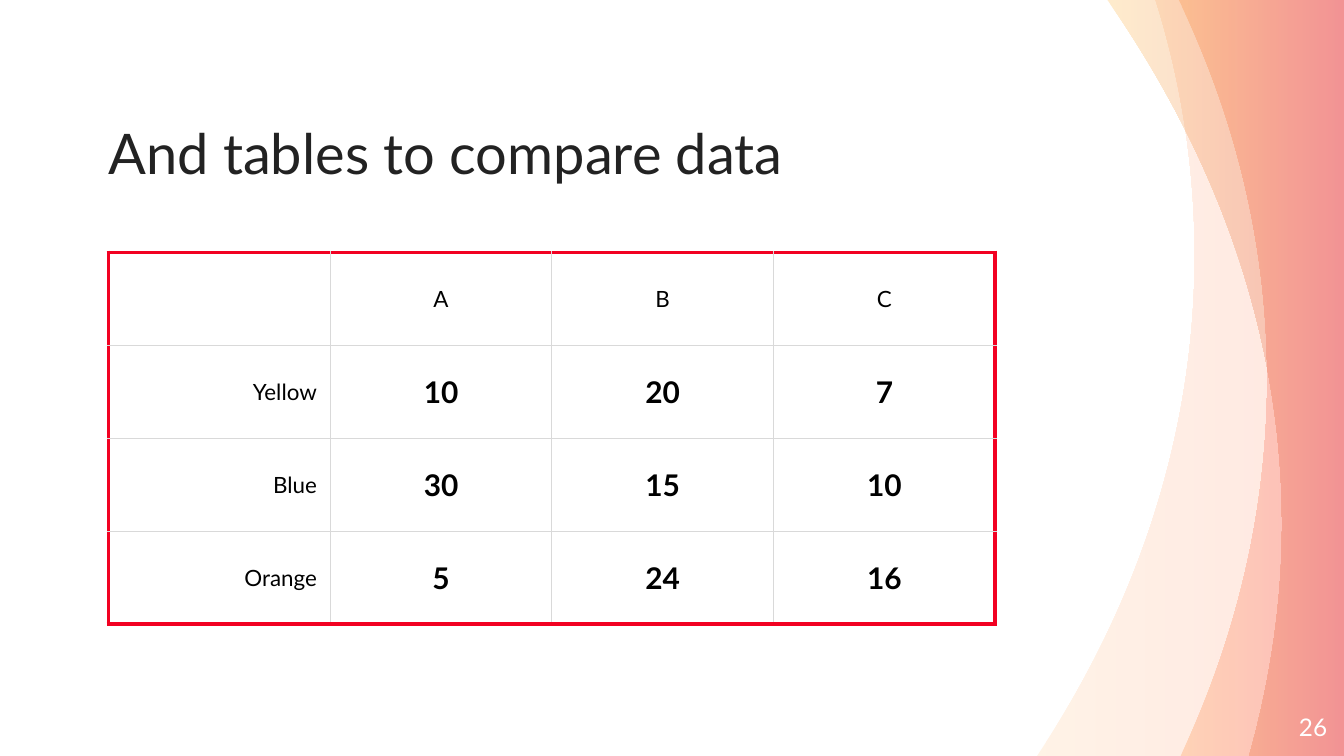
from lxml.etree import SubElement
from pptx import Presentation
from pptx.dml.color import RGBColor
from pptx.enum.text import MSO_ANCHOR as Anchor, MSO_AUTO_SIZE as AutoSize, PP_ALIGN as Align
from pptx.oxml.ns import qn
from pptx.util import Cm, Pt

# Content
TITLE = "And tables to compare data"
PAGE_NUMBER = "26"
ROWS = [
    ("", "A", "B", "C"),
    ("Yellow", "10", "20", "7"),
    ("Blue", "30", "15", "10"),
    ("Orange", "5", "24", "16"),
]


class Theme:
    font = "Lato"
    title_size, value_size, label_size, number_size = 30, 16, 12, 13
    title_color, text_color, number_color = "222222", "000000", "FFFFFF"
    outer_border = ("F20122", 2.25)
    inner_border = ("D9D9D9", 0.75)
    wave_alpha = 20  # percent


# Layout, in centimetres
WIDTH, HEIGHT = 25.4, 14.29
LEFT, CONTENT_WIDTH = 2.05, 16.76
TITLE_TOP, TITLE_HEIGHT = 1.45, 2.06
TABLE_TOP, TABLE_HEIGHT = 4.77, 7.03
WAVE_BOTTOM = 14.32

# Waves: left and right colour, then the curve from the bottom edge
# through the crest to the top edge (two cubic Bézier segments)
WAVES = [
    ("FFC486", "FF866B", [(19.58, WAVE_BOTTOM), (21.51, 11.43), (22.58, 8.2), (22.58, 4.83),
                          (22.58, 3.18), (22.33, 1.55), (21.84, 0)]),
    ("FF6A00", "F20122", [(22.3, WAVE_BOTTOM), (23.37, 12.07), (23.95, 9.65), (23.95, 7.16),
                          (23.95, 4.67), (23.37, 2.26), (22.28, 0)]),
    ("FF9F00", "CC0000", [(23.6, WAVE_BOTTOM), (24, 12.9), (24.23, 11.43), (24.23, 9.91),
                          (24.23, 6.38), (23.04, 3.02), (20.93, 0)]),
]


def bend(shape, segment_count):
    """Turn each three leading lines of the outline into one cubic curve."""
    outline = next(shape._element.iter(qn("a:path")))
    lines = outline.findall(qn("a:lnTo"))
    for first in range(0, 3 * segment_count, 3):
        curve = SubElement(outline, qn("a:cubicBezTo"))
        lines[first].addprevious(curve)
        for line in lines[first:first + 3]:
            curve.append(line[0])
            outline.remove(line)


def add_wave(slide, left_color, right_color, curve):
    corners = [(WIDTH, 0), (WIDTH, WAVE_BOTTOM)]
    start, *points = [(Cm(x), Cm(y)) for x, y in curve + corners]
    builder = slide.shapes.build_freeform(*start)
    builder.add_line_segments(points, close=True)
    shape = builder.convert_to_shape()
    bend(shape, segment_count=2)
    shape.shadow.inherit = False
    shape.line.fill.background()
    shape.fill.gradient()
    shape.fill.gradient_angle = 0
    for stop, color in zip(shape.fill.gradient_stops, (left_color, right_color)):
        stop.color.rgb = RGBColor.from_string(color)
    for color in shape._element.iter(qn("a:srgbClr")):
        SubElement(color, qn("a:alpha"), val=str(Theme.wave_alpha * 1000))


def write(text_frame, text, size, color, align, bold=False):
    text_frame.text = text
    paragraph = text_frame.paragraphs[0]
    paragraph.alignment = align
    for run in paragraph.runs:
        run.font.name, run.font.size, run.font.bold = Theme.font, Pt(size), bold
        run.font.color.rgb = RGBColor.from_string(color)


def set_frame(text_frame, anchor):
    text_frame.margin_left = text_frame.margin_right = 0
    text_frame.margin_top = text_frame.margin_bottom = 0
    text_frame.word_wrap = True
    text_frame.auto_size = AutoSize.NONE
    text_frame.vertical_anchor = anchor


def set_borders(cell, outer_sides):
    properties = cell._tc.get_or_add_tcPr()
    for side, outer in outer_sides.items():
        color, width = Theme.outer_border if outer else Theme.inner_border
        line = SubElement(properties, qn(f"a:ln{side}"), w=str(Pt(width)))
        SubElement(SubElement(line, qn("a:solidFill")), qn("a:srgbClr"), val=color)


def add_data_table(slide):
    row_count, column_count = len(ROWS), len(ROWS[0])
    table = slide.shapes.add_table(row_count, column_count, Cm(LEFT), Cm(TABLE_TOP),
                                   Cm(CONTENT_WIDTH), Cm(TABLE_HEIGHT)).table
    table.first_row = table.horz_banding = False
    for i, row in enumerate(ROWS):
        for j, text in enumerate(row):
            cell = table.cell(i, j)
            is_value = i > 0 and j > 0
            size = Theme.value_size if is_value else Theme.label_size
            align = Align.RIGHT if j == 0 else Align.CENTER
            write(cell.text_frame, text, size, Theme.text_color, align, is_value)
            cell.vertical_anchor = Anchor.MIDDLE
            cell.margin_left = cell.margin_right = Cm(0.25)
            cell.margin_top = cell.margin_bottom = Cm(0.18)
            set_borders(cell, {"L": j == 0, "R": j == column_count - 1,
                               "T": i == 0, "B": i == row_count - 1})
            cell.fill.background()


def main():
    presentation = Presentation()
    presentation.slide_width, presentation.slide_height = Cm(WIDTH), Cm(HEIGHT)
    slide = presentation.slides.add_slide(presentation.slide_layouts[5])

    # Background waves
    for wave in WAVES:
        add_wave(slide, *wave)

    # Title
    title = slide.shapes.title
    title.left, title.top = Cm(LEFT), Cm(TITLE_TOP)
    title.width, title.height = Cm(CONTENT_WIDTH), Cm(TITLE_HEIGHT)
    set_frame(title.text_frame, Anchor.BOTTOM)
    write(title.text_frame, TITLE, Theme.title_size, Theme.title_color, Align.LEFT)

    # Table
    add_data_table(slide)

    # Page number
    number = slide.shapes.add_textbox(Cm(23.56), Cm(13.2), Cm(1.52), Cm(1.09))
    set_frame(number.text_frame, Anchor.MIDDLE)
    write(number.text_frame, PAGE_NUMBER, Theme.number_size, Theme.number_color, Align.RIGHT)

    presentation.save("out.pptx")


if __name__ == "__main__":
    main()
